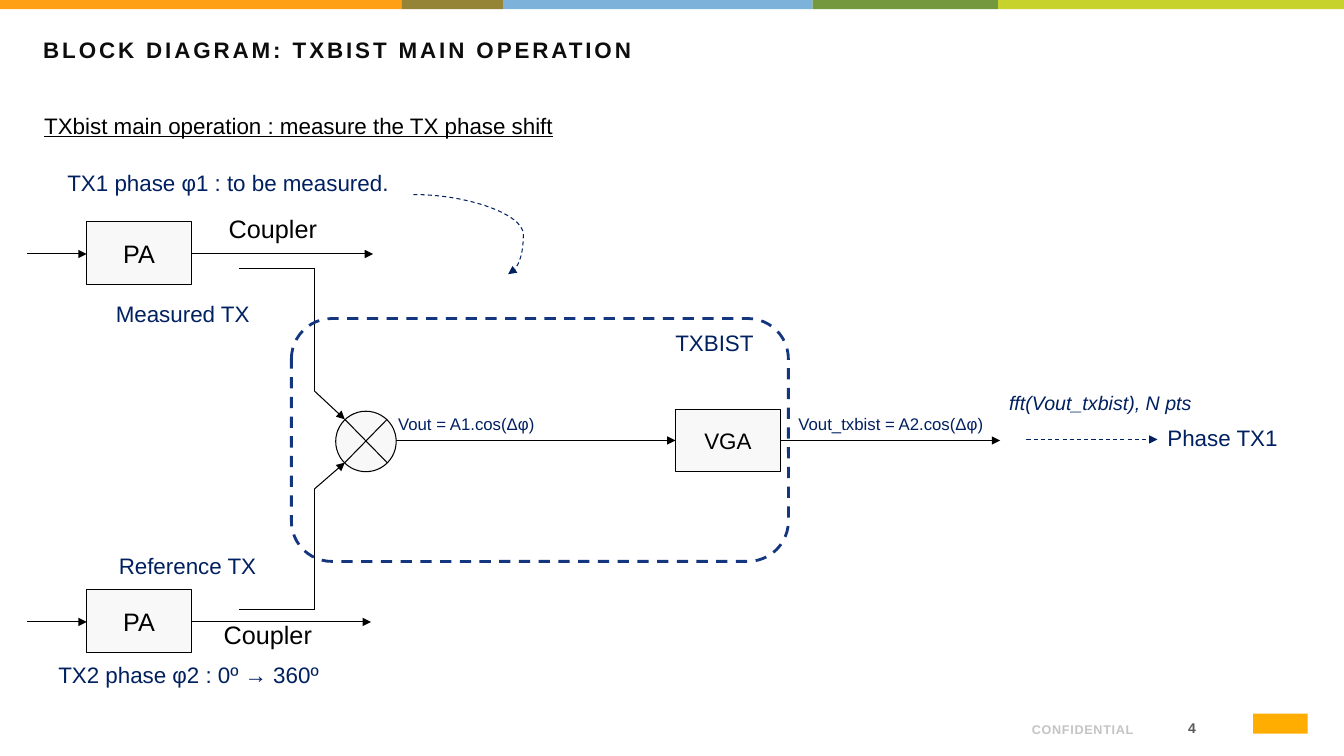
import itertools
from dataclasses import dataclass

import pptx
import pptx.dml.color
import pptx.enum.dml
import pptx.enum.shapes
import pptx.enum.text
import pptx.oxml.ns
import pptx.util
from lxml import etree
from pptx.util import Inches

SHAPE = pptx.enum.shapes.MSO_SHAPE
CONNECTOR = pptx.enum.shapes.MSO_CONNECTOR
ALIGN = pptx.enum.text.PP_ALIGN
ANCHOR = pptx.enum.text.MSO_ANCHOR
DASH = pptx.enum.dml.MSO_LINE.DASH
qn = pptx.oxml.ns.qn


@dataclass(frozen=True)
class Theme:
    font: str = "Arial"
    black: str = "000000"
    title: str = "0D0D0D"
    navy: str = "002060"
    frame: str = "14367F"
    block: str = "F8F8F8"
    number: str = "595959"
    footer: str = "C4C4C4"
    logo: str = "FFAD00"
    stripes: tuple = ("FFA015", "958436", "7DB2DB", "73983E", "C7D22D")
    large: int = 18
    body: int = 16
    note: int = 14
    formula: int = 12
    page: int = 10
    small: int = 9
    thin: float = 0.75
    thick: float = 2


THEME = Theme()


def rgb(code):
    return pptx.dml.color.RGBColor.from_string(code)


def write(frame, text, *, size=THEME.body, color=THEME.navy, bold=False,
          italic=False, underline=False, spacing=None, align=ALIGN.LEFT,
          anchor=ANCHOR.TOP, wrap=False):
    frame.word_wrap = wrap
    frame.vertical_anchor = anchor
    paragraph = frame.paragraphs[0]
    paragraph.alignment = align
    run = paragraph.add_run()
    run.text = text
    font = run.font
    font.name = THEME.font
    font.size = pptx.util.Pt(size)
    font.bold, font.italic, font.underline = bold, italic, underline
    font.color.rgb = rgb(color)
    if spacing is not None:
        font._element.set("spc", str(round(spacing * 100)))


def label(slide, text, left, top, width, height=0.39, **style):
    box = slide.shapes.add_textbox(
        Inches(left), Inches(top), Inches(width), Inches(height))
    write(box.text_frame, text, **style)
    return box


def block(slide, kind, left, top, width, height, fill=None, line=None,
          weight=THEME.thin):
    shape = slide.shapes.add_shape(
        kind, Inches(left), Inches(top), Inches(width), Inches(height))
    shape.shadow.inherit = False
    if fill:
        shape.fill.solid()
        shape.fill.fore_color.rgb = rgb(fill)
    else:
        shape.fill.background()
    if line:
        shape.line.color.rgb = rgb(line)
        shape.line.width = pptx.util.Pt(weight)
    else:
        shape.line.fill.background()
    return shape


def stage(slide, text, left, top, size):
    box = block(slide, SHAPE.RECTANGLE, left, top, 1.04, 0.62,
                THEME.block, THEME.black)
    write(box.text_frame, text, size=size, color=THEME.black,
          align=ALIGN.CENTER, anchor=ANCHOR.MIDDLE, wrap=True)


def wire(slide, start, end, arrow=True, color=THEME.black, dashed=False,
         bend=None):
    kind = CONNECTOR.STRAIGHT if bend is None else CONNECTOR.CURVE
    link = slide.shapes.add_connector(
        kind, *(Inches(value) for value in (*start, *end)))
    link.line.color.rgb = rgb(color)
    link.line.width = pptx.util.Pt(THEME.thin)
    if dashed:
        link.line.dash_style = DASH
    properties = link._element.spPr
    if arrow:
        etree.SubElement(properties.find(qn("a:ln")), qn("a:tailEnd"),
                         type="triangle")
    if bend is not None:
        guides = properties.find(qn("a:prstGeom")).find(qn("a:avLst"))
        etree.SubElement(guides, qn("a:gd"), name="adj1",
                         fmla=f"val {round(bend * 100000)}")
    etree.SubElement(properties, qn("a:effectLst"))


def draw_page_frame(slide):
    # Colour stripes across the top
    edges = (0, 3.98, 4.99, 8.06, 9.9, 13.33)
    for (left, right), color in zip(itertools.pairwise(edges), THEME.stripes):
        block(slide, SHAPE.RECTANGLE, left, 0, right - left, 0.09, color)

    # Footer
    number = label(slide, "4", 11.28, 7.07, 0.65, 0.3, size=THEME.page,
                   color=THEME.number, bold=True, spacing=3,
                   align=ALIGN.RIGHT, anchor=ANCHOR.MIDDLE, wrap=True)
    frame = number.text_frame
    frame.margin_left = frame.margin_right = Inches(0.07)
    frame.margin_top = frame.margin_bottom = Inches(0.04)
    label(slide, "CONFIDENTIAL", 8.51, 7.02, 2.83, 0.34, size=THEME.small,
          color=THEME.footer, bold=True, spacing=0.5, align=ALIGN.RIGHT,
          anchor=ANCHOR.BOTTOM, wrap=True)
    block(slide, SHAPE.RECTANGLE, 12.43, 7.08, 0.54, 0.2, THEME.logo)

    # Headings
    label(slide, "BLOCK DIAGRAM: TXBIST MAIN OPERATION", 0.33, 0.31, 12.75,
          0.72, color=THEME.title, bold=True, spacing=2.1, wrap=True)
    label(slide, "TXbist main operation : measure the TX phase shift",
          0.34, 1.06, 5.31, 0.37, color=THEME.black, underline=True)


def draw_transmitter(slide, axis, output_end, coupler, mixer_turn, mixer_port):
    """Amplifier on its signal axis, coupled down or up to the mixer."""
    wire(slide, (0.27, axis), (0.86, axis))
    wire(slide, (1.9, axis), (output_end, axis))
    wire(slide, (2.37, coupler), (3.12, coupler), arrow=False)
    wire(slide, (3.12, coupler), (3.12, mixer_turn), arrow=False)
    wire(slide, (3.12, mixer_turn), (3.42, mixer_port))
    stage(slide, "PA", 0.86, axis - 0.32, THEME.large)


def draw_mixer(slide):
    block(slide, SHAPE.OVAL, 3.33, 4.08, 0.6, 0.6, THEME.block, THEME.black)
    for start, end in ((4.16, 4.59), (4.59, 4.16)):
        wire(slide, (3.42, start), (3.84, end), arrow=False)


def draw_labels(slide):
    # Each box is wide enough to hold its text on one line
    for left, top in ((2.17, 2.07), (2.12, 6.09)):
        label(slide, "Coupler", left, top, 1.15, 0.4, size=THEME.large,
              color=THEME.black)
    for text, left, top, width in (
            ("TX1 phase φ1 : to be measured.", 0.57, 1.63, 3.5),
            ("TX2 phase φ2 : 0º → 360º", 0.48, 6.51, 3),
            ("Measured TX", 1.05, 2.93, 1.65),
            ("Reference TX", 1.08, 5.43, 1.7),
            ("TXBIST", 6.6, 3.22, 1.1),
            ("Phase TX1", 11.48, 4.16, 1.45)):
        label(slide, text, left, top, width)
    for text, left, width in (("Vout = A1.cos(Δφ)", 3.85, 1.7),
                              ("Vout_txbist = A2.cos(Δφ)", 7.82, 2.2)):
        label(slide, text, left, 4.06, width, size=THEME.formula)
    label(slide, "fft(Vout_txbist), N pts", 9.91, 3.83, 2.2,
          size=THEME.note, italic=True)


def main():
    deck = pptx.Presentation()
    deck.slide_width, deck.slide_height = Inches(13.33), Inches(7.5)
    slide = deck.slides.add_slide(deck.slide_layouts[6])
    draw_page_frame(slide)

    # Signal chain: two transmitters, mixer, amplifier
    draw_mixer(slide)
    draw_transmitter(slide, 2.52, 3.7, 2.66, 3.88, 4.16)
    draw_transmitter(slide, 6.17, 3.68, 6.05, 4.85, 4.59)
    wire(slide, (3.93, 4.37), (6.7, 4.37))
    wire(slide, (7.75, 4.37), (9.92, 4.37))
    stage(slide, "VGA", 6.7, 4.06, THEME.body)

    # Test unit boundary
    boundary = block(slide, SHAPE.ROUNDED_RECTANGLE, 2.89, 3.16, 4.93, 2.41,
                     line=THEME.frame, weight=THEME.thick)
    boundary.line.dash_style = DASH

    # Measurement arrows and labels
    wire(slide, (4.1, 1.93), (5.04, 2.72), color=THEME.navy, dashed=True,
         bend=1.16)
    wire(slide, (10.18, 4.36), (11.48, 4.36), color=THEME.navy, dashed=True)
    draw_labels(slide)

    deck.save("out.pptx")


if __name__ == "__main__":
    main()
